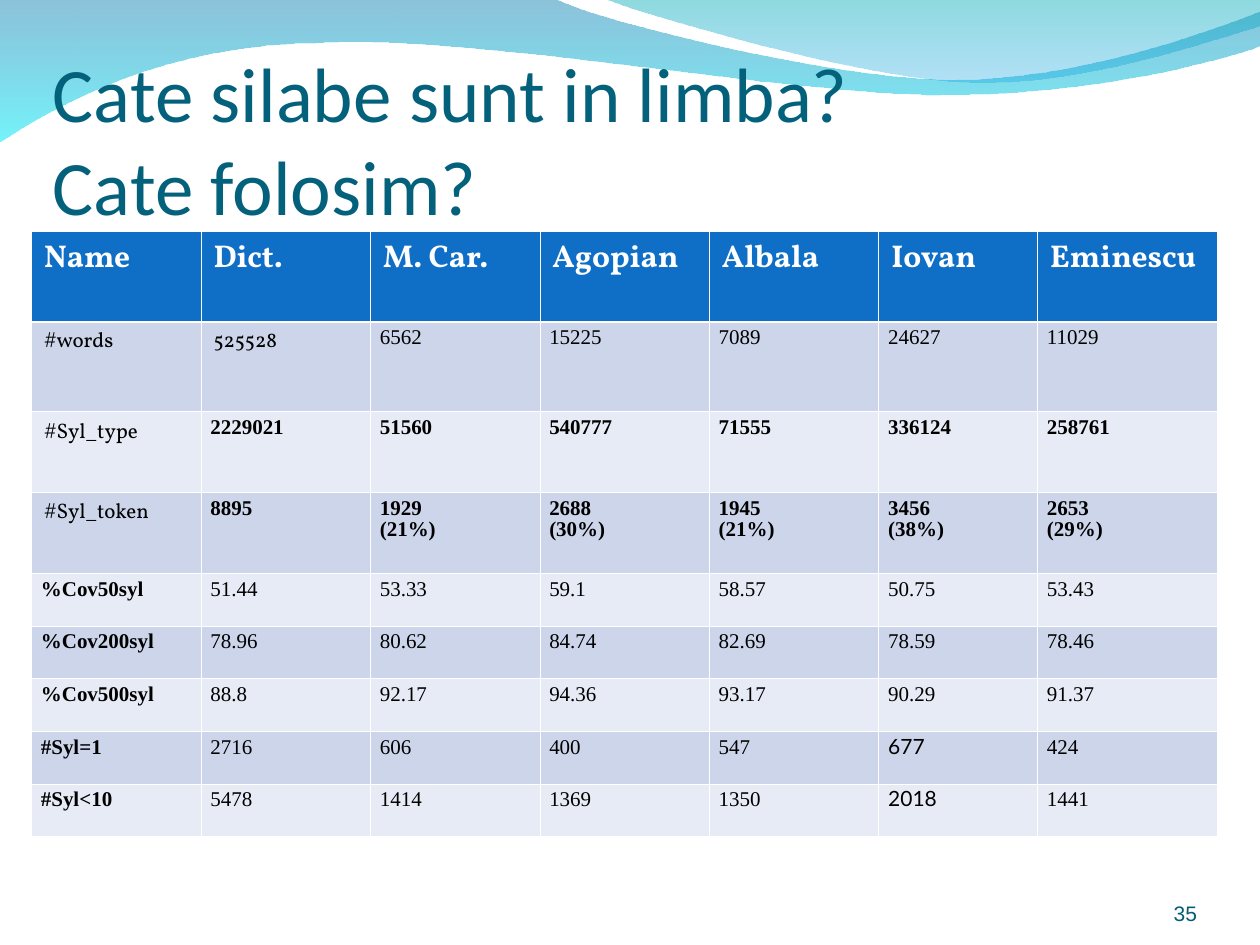
from lxml.etree import SubElement
from pptx import Presentation
from pptx.dml.color import RGBColor
from pptx.enum.text import MSO_ANCHOR, PP_ALIGN
from pptx.oxml.ns import qn
from pptx.util import Inches, Pt

presentation = Presentation()
presentation.slide_width = Inches(10)
presentation.slide_height = Inches(7.5)
slide = presentation.slides.add_slide(presentation.slide_layouts[6])

# The slide is a grid of 100 columns by 75 rows.
COLUMN = presentation.slide_width / 100
ROW = presentation.slide_height / 75


def color(hex_value):
    return RGBColor.from_string(hex_value)


def write_text(frame, text, font, size, hex_value, bold=False,
               align=PP_ALIGN.LEFT, spacing=None):
    """Each line becomes a paragraph; a vertical tab is a line break."""
    for index, line in enumerate(text.split("\n")):
        paragraph = frame.paragraphs[0] if index == 0 else frame.add_paragraph()
        paragraph.text = line
        paragraph.alignment = align
        paragraph.line_spacing = spacing
        for run in paragraph.runs:
            run.font.name = font
            run.font.size = Pt(size)
            run.font.bold = bold
            run.font.color.rgb = color(hex_value)


# Waves: a pair is a straight segment, six numbers are a Bezier curve.
# Each gradient stop is a colour and its opacity in percent.
waves = [
    ([(0, -0.1), (44, -0.1), (47.6, 1.7, 66.4, 6.3, 75.8, 6.3),
      (85.3, 6.3, 95.8, 2.6, 100, 0.9), (100.1, 3.6),
      (98.3, 4.4, 87, 7.6, 74.6, 7.5), (62.2, 7.5, 38.2, 2.8, 25.7, 3.4),
      (12.9, 3.5, 4.6, 8.3, -0.1, 11.3), (0, -0.1)],
     [("0079AF", 45), ("00EBF8", 55)]),
    ([(47.9, -0.1), (50.9, 1.1, 68.2, 6.2, 76.9, 6.5),
      (85.6, 6.9, 96.1, 3.2, 100, 2.1), (100, 0), (47.9, -0.1)],
     [("00ADB6", 45), ("009BE5", 30)]),
]
for segments, stops in waves:
    vertices = [(segment[i] * COLUMN, segment[i + 1] * ROW)
                for segment in segments for i in range(0, len(segment), 2)]
    builder = slide.shapes.build_freeform(*vertices[0])
    builder.add_line_segments(vertices[1:], close=True)
    wave = builder.convert_to_shape()
    # Join the three points of each curve into one Bezier segment.
    lines = iter(list(wave._element.iter(qn("a:lnTo"))))
    for segment in segments[1:]:
        line = next(lines)
        if len(segment) == 6:
            line.tag = qn("a:cubicBezTo")
            for _ in range(2):
                extra = next(lines)
                line.append(extra[0])
                extra.getparent().remove(extra)
    wave.shadow.inherit = False
    wave.line.fill.background()
    wave.fill.gradient()
    wave.fill.gradient_angle = 270
    for stop, (hex_value, _) in zip(wave.fill.gradient_stops, stops):
        stop.color.rgb = color(hex_value)
    for element, (_, opacity) in zip(wave._element.iter(qn("a:srgbClr")), stops):
        SubElement(element, qn("a:alpha"), val=str(opacity * 1000))

# Title and slide number
text_boxes = [
    ((4.2, 5, 90, 13.3), 0.05, "Cate silabe sunt in limba? \vCate folosim?",
     dict(font="Calibri", size=44, hex_value="04617B")),
    ((86.7, 69.5, 8.3, 4), 0, "35",
     dict(font="Arial", size=12, hex_value="045C75", align=PP_ALIGN.RIGHT)),
]
for (left, top, width, height), inset, text, text_format in text_boxes:
    box = slide.shapes.add_textbox(
        int(left * COLUMN), int(top * ROW), int(width * COLUMN), int(height * ROW))
    frame = box.text_frame
    frame.word_wrap = True
    frame.vertical_anchor = MSO_ANCHOR.BOTTOM
    frame.margin_left = frame.margin_right = frame.margin_bottom = 0
    frame.margin_top = Inches(inset)
    write_text(frame, text, **text_format)

# Syllable table
records = [
    ["Name", "Dict.", "M. Car.", "Agopian", "Albala", "Iovan", "Eminescu"],
    ["#words", "525528", "6562", "15225", "7089", "24627", "11029"],
    ["#Syl_type", "2229021", "51560", "540777", "71555", "336124", "258761"],
    ["#Syl_token", "8895", "1929\n(21%)", "2688\n(30%)", "1945\n(21%)",
     "3456\n(38%)", "2653\n(29%)"],
    ["%Cov50syl", "51.44", "53.33", "59.1", "58.57", "50.75", "53.43"],
    ["%Cov200syl", "78.96", "80.62", "84.74", "82.69", "78.59", "78.46"],
    ["%Cov500syl", "88.8", "92.17", "94.36", "93.17", "90.29", "91.37"],
    ["#Syl=1", "2716", "606", "400", "547", "677", "424"],
    ["#Syl<10", "5478", "1414", "1369", "1350", "2018", "1441"],
]
column_widths = [13.45] * 5 + [12.6, 14.3]
row_heights = [7.15] * 2 + [6.42] * 2 + [4.18] * 5
table = slide.shapes.add_table(
    len(records), len(column_widths), int(2.5 * COLUMN), int(18.38 * ROW),
    int(sum(column_widths) * COLUMN), int(sum(row_heights) * ROW)).table
for table_column, width in zip(table.columns, column_widths):
    table_column.width = int(width * COLUMN)
for table_row, height in zip(table.rows, row_heights):
    table_row.height = int(height * ROW)

for r, record in enumerate(records):
    for c, text in enumerate(record):
        cell = table.cell(r, c)
        is_header = r == 0
        is_label = c == 0 and r >= 4
        is_serif = is_header or (c == 0 and r < 4) or (r, c) == (1, 1)
        is_lato = c == 5 and r >= 7
        cell.margin_left = cell.margin_right = Pt(7.2 if is_serif else 5.4)
        cell.margin_top = cell.margin_bottom = Inches(0.05)
        write_text(
            cell.text_frame, text,
            font="Vollkorn" if is_serif else "Lato" if is_lato else "Times New Roman",
            size=18 if is_header else 12,
            hex_value="FFFFFF" if is_header else "000000",
            bold=is_header or is_label or (r in (2, 3) and c > 0),
            align=PP_ALIGN.JUSTIFY if is_label else PP_ALIGN.LEFT,
            spacing=None if is_serif else Pt(12))
        for side in "LRTB":
            below_header = (r, side) in ((0, "B"), (1, "T"))
            border = SubElement(cell._tc.get_or_add_tcPr(), qn(f"a:ln{side}"),
                                w=str(Pt(1.47 if below_header else 0.45)))
            border_fill = SubElement(border, qn("a:solidFill"))
            SubElement(border_fill, qn("a:srgbClr"), val="FFFFFF")
        cell.fill.solid()
        cell.fill.fore_color.rgb = color(
            "0F6FC6" if is_header else "CCD5EA" if r % 2 else "E7EBF5")

presentation.save("out.pptx")
